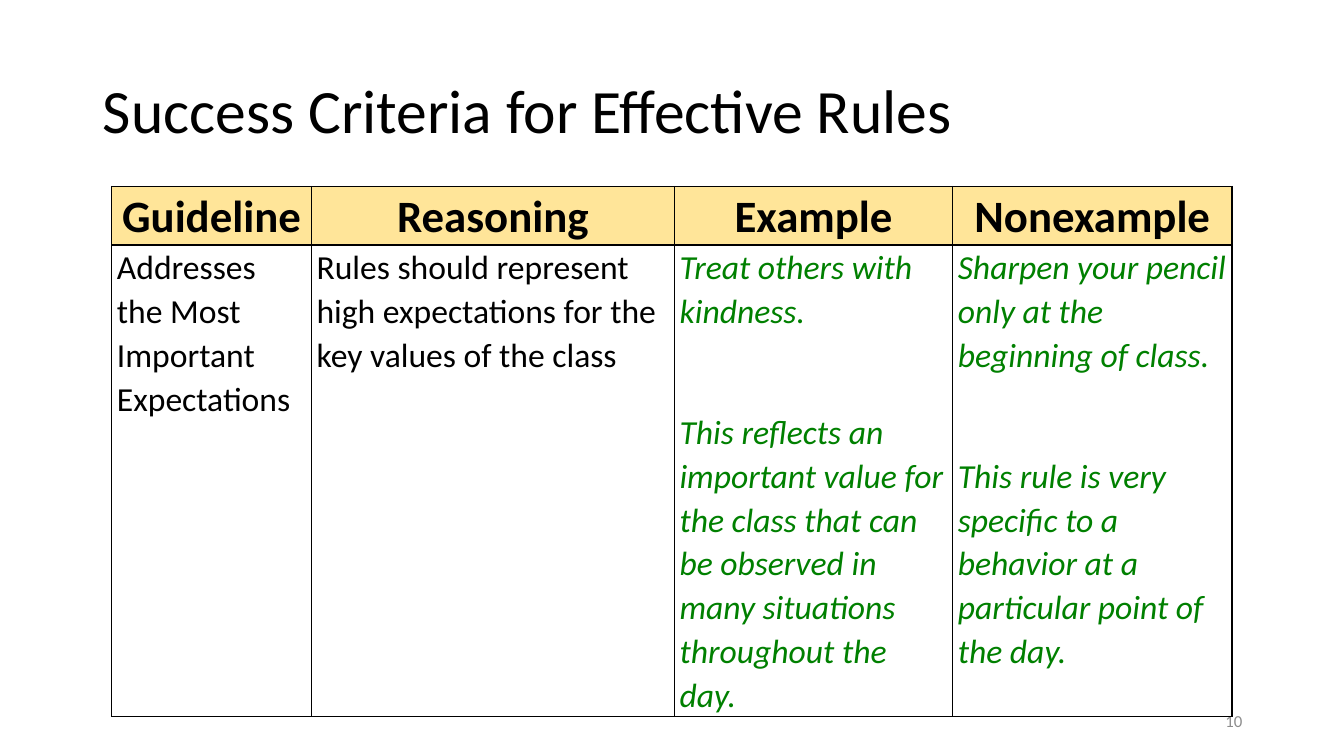
"""Build the slide on success criteria for effective classroom rules."""
from lxml import etree
from pptx import Presentation
from pptx.dml.color import RGBColor
from pptx.enum.text import MSO_ANCHOR, MSO_AUTO_SIZE, PP_ALIGN
from pptx.oxml.ns import qn
from pptx.util import Inches, Pt

MIDDLE = MSO_ANCHOR.MIDDLE
NO_AUTOFIT = MSO_AUTO_SIZE.NONE
LEFT, CENTER, RIGHT = PP_ALIGN.LEFT, PP_ALIGN.CENTER, PP_ALIGN.RIGHT
BLACK = RGBColor(0x00, 0x00, 0x00)
GRAY = RGBColor(0x8C, 0x8C, 0x8C)
GREEN = RGBColor(0x00, 0x80, 0x00)
CREAM = RGBColor(0xFF, 0xE5, 0x99)
FONT = "Calibri"

COLUMNS = [
    ("Guideline", 1.98, ["Addresses the Most Important Expectations"], False),
    ("Reasoning", 3.6,
     ["Rules should represent high expectations for the key values of the class"], False),
    ("Example", 2.76,
     ["Treat others with kindness.",
      "This reflects an important value for the class that can be observed in many "
      "situations throughout the day."], True),
    ("Nonexample", 2.77,
     ["Sharpen your pencil only at the beginning of class.",
      "This rule is very specific to a behavior at a particular point of the day."], True),
]


def style(paragraph, size, color, align=LEFT, bold=False, italic=False):
    paragraph.alignment = align
    font = paragraph.font
    font.name, font.size, font.bold, font.italic = FONT, Pt(size), bold, italic
    font.color.rgb = color


def frame_cell(cell):
    cell.margin_left = cell.margin_right = Inches(0.05)
    cell.margin_top = cell.margin_bottom = 0
    properties = cell._tc.get_or_add_tcPr()
    for side in ("lnL", "lnR", "lnT", "lnB"):
        border = etree.SubElement(properties, qn(f"a:{side}"), w=str(Pt(1)))
        border_fill = etree.SubElement(border, qn("a:solidFill"))
        etree.SubElement(border_fill, qn("a:srgbClr"), val=str(BLACK))


prs = Presentation()
prs.slide_width, prs.slide_height = Inches(13.33), Inches(7.5)
slide = prs.slides.add_slide(prs.slide_layouts[5])

title = slide.shapes.title
title.left, title.top = Inches(0.92), Inches(0.4)
title.width, title.height = Inches(11.5), Inches(1.45)
title.text_frame.text = "Success Criteria for Effective Rules"
title.text_frame.vertical_anchor = MIDDLE
title.text_frame.auto_size = NO_AUTOFIT
heading = title.text_frame.paragraphs[0]
heading.line_spacing = 0.9
style(heading, 44, BLACK)

page_number = slide.shapes.add_textbox(
    Inches(9.42), Inches(6.95), Inches(3), Inches(0.4)).text_frame
page_number.word_wrap = True
page_number.vertical_anchor = MIDDLE
page_number.text = "10"
style(page_number.paragraphs[0], 12, GRAY, RIGHT)

criteria = slide.shapes.add_table(
    2, len(COLUMNS), Inches(1.11), Inches(1.85), Inches(11.11), Inches(5.26)).table
criteria.rows[0].height, criteria.rows[1].height = Inches(0.58), Inches(4.68)

for index, (label, width, statements, is_sample) in enumerate(COLUMNS):
    criteria.columns[index].width = Inches(width)

    header = criteria.cell(0, index)
    frame_cell(header)
    header.fill.solid()
    header.fill.fore_color.rgb = CREAM
    header.text = label
    header_line = header.text_frame.paragraphs[0]
    header_line.line_spacing = 1.07
    style(header_line, 32, BLACK, CENTER, bold=True)

    body = criteria.cell(1, index)
    frame_cell(body)
    body.fill.background()
    body.text = "\n".join(statements)
    for position, statement in enumerate(body.text_frame.paragraphs):
        statement.line_spacing = 1.07
        if position:
            statement.space_before = Pt(55)
        style(statement, 24, GREEN if is_sample else BLACK, italic=is_sample)

prs.save("out.pptx")
